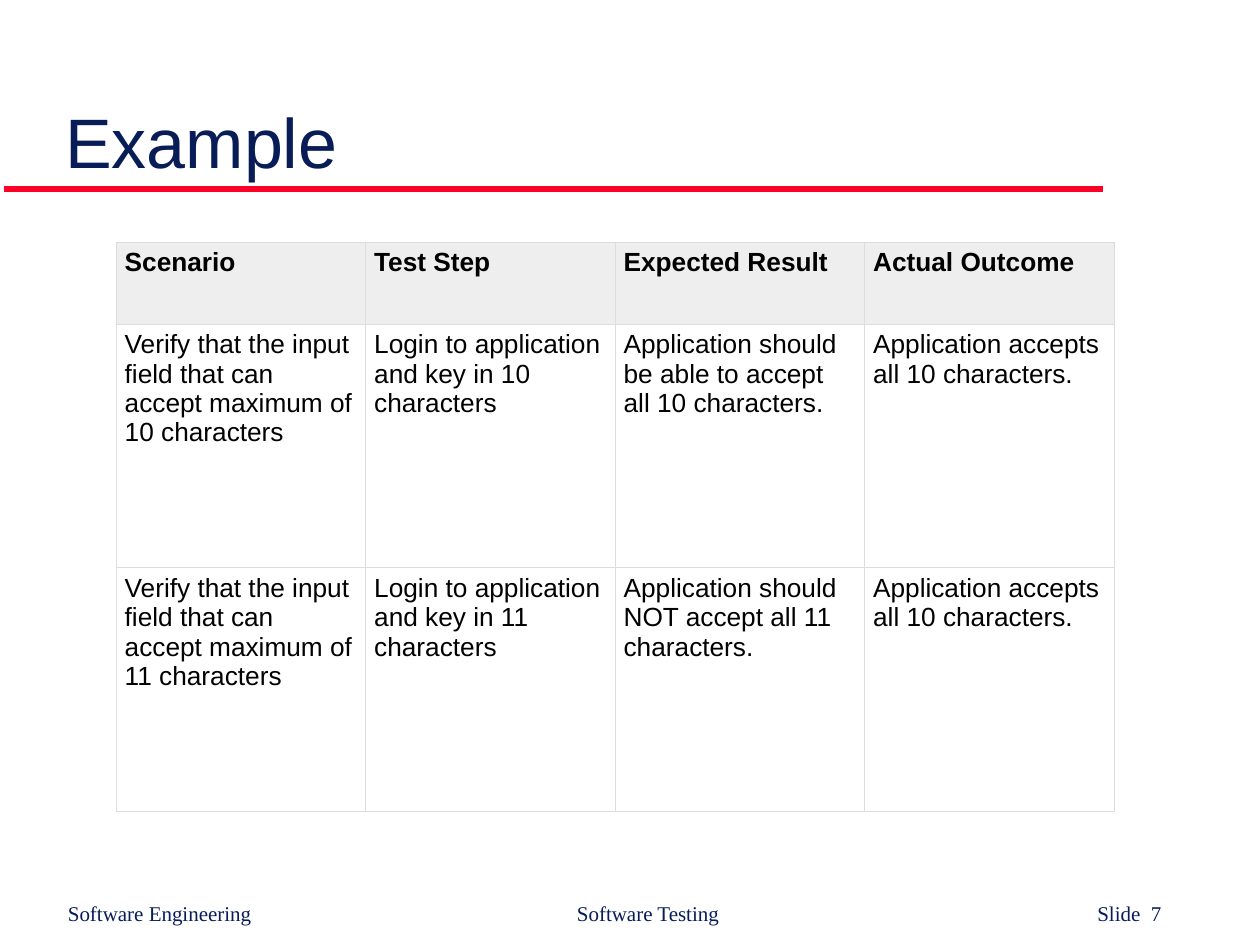
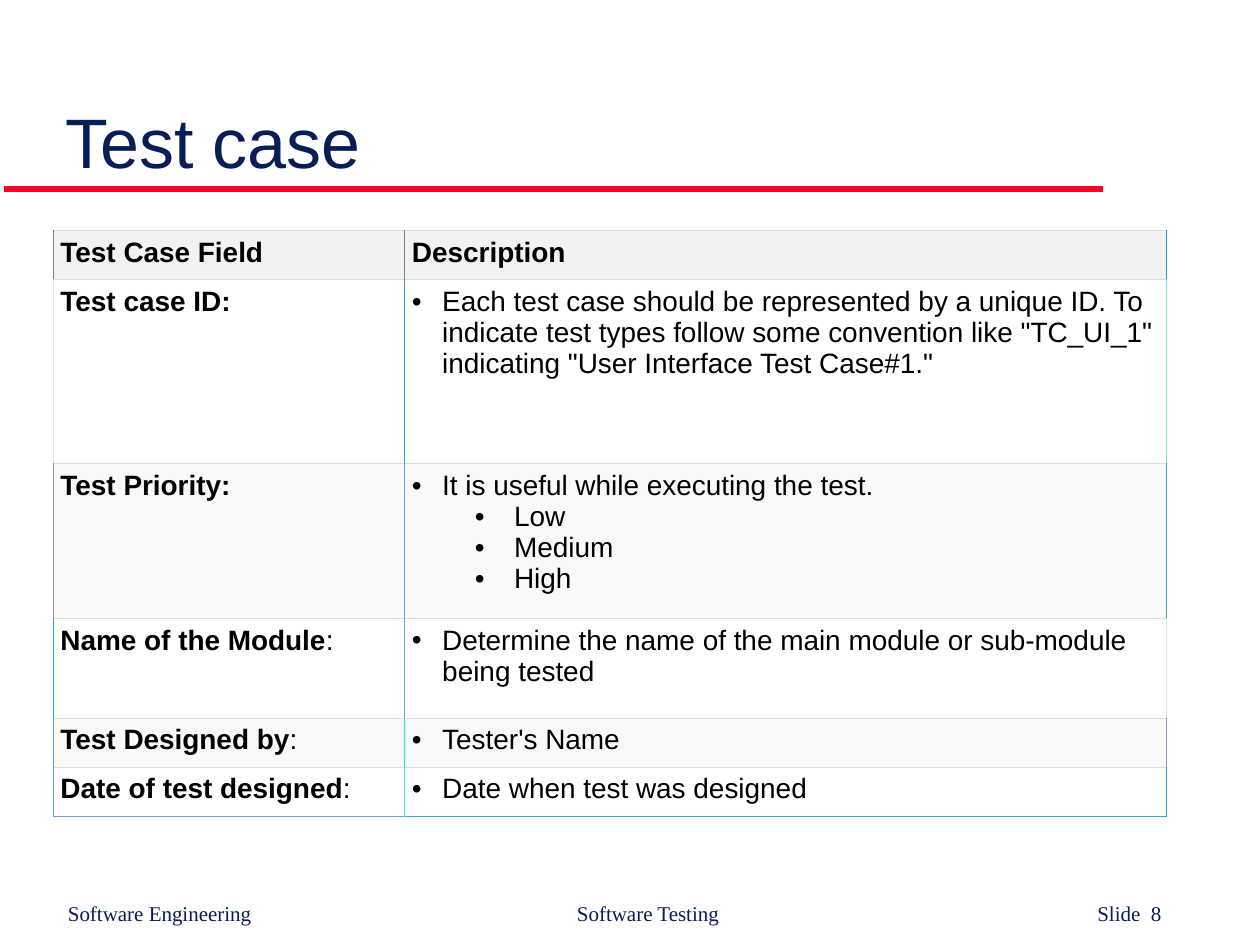
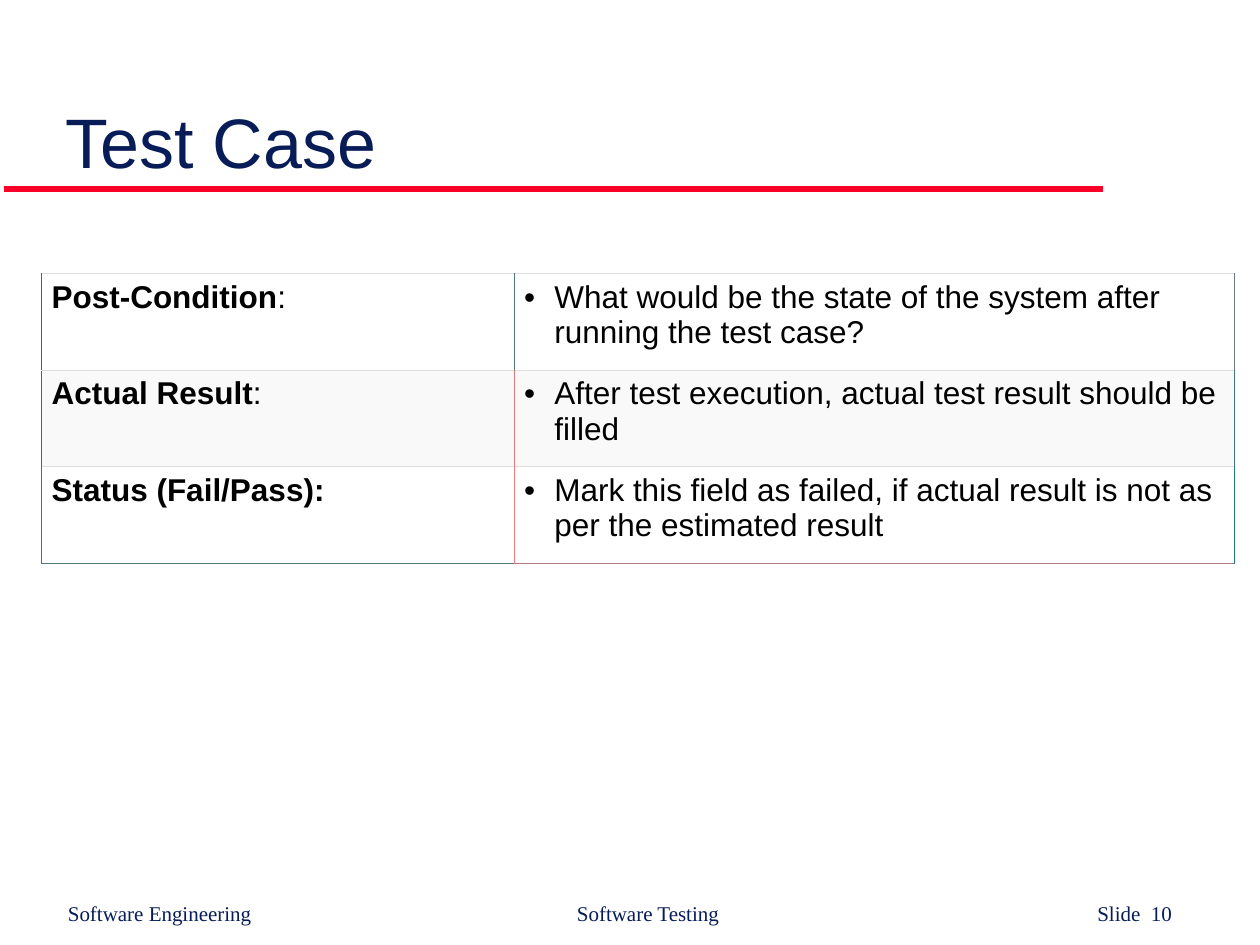
from dataclasses import dataclass

from lxml.etree import SubElement
from pptx import Presentation
from pptx.dml.color import RGBColor
from pptx.enum.shapes import MSO_CONNECTOR
from pptx.enum.text import MSO_ANCHOR
from pptx.oxml.ns import qn
from pptx.util import Inches, Pt

NAVY = RGBColor(0x08, 0x1D, 0x58)
RED = RGBColor(0xFC, 0x01, 0x28)
BLACK = RGBColor(0x00, 0x00, 0x00)
WHITE = RGBColor(0xFF, 0xFF, 0xFF)
OFF_WHITE = RGBColor(0xF9, 0xF9, 0xF9)
PALE_GREY = RGBColor(0xF2, 0xF2, 0xF2)
HEADER_GREY = RGBColor(0xEE, 0xEE, 0xEE)
RULE_GREY = RGBColor(0xDD, 0xDD, 0xDD)
SLATE = RGBColor(0x70, 0x87, 0x96)
BRIGHT_BLUE = RGBColor(0x10, 0x9E, 0xED)
SKY_BLUE = RGBColor(0x60, 0x9E, 0xED)
OCEAN = RGBColor(0x30, 0xA2, 0xCE)
LAGOON = RGBColor(0x40, 0xA5, 0xCE)
MIST_BLUE = RGBColor(0x60, 0xAB, 0xCE)
STEEL_BLUE = RGBColor(0x70, 0x99, 0xCF)
LAVENDER = RGBColor(0x90, 0x90, 0xCF)
PALE_MINT = RGBColor(0xD0, 0xF0, 0xCF)
MINT = RGBColor(0x80, 0xF0, 0xCF)
GREEN_MINT = RGBColor(0x50, 0xF0, 0xCF)
AQUA = RGBColor(0x10, 0xF4, 0xCF)
TEAL = RGBColor(0x20, 0x7B, 0x7E)
DARK_TEAL = RGBColor(0x30, 0x7A, 0x7E)
GREY_TEAL = RGBColor(0x40, 0x7A, 0x7E)
SMOKE = RGBColor(0x50, 0x79, 0x7E)
ASH = RGBColor(0x70, 0x79, 0x7E)
ROSE = RGBColor(0xE0, 0x79, 0x7E)
CORAL = RGBColor(0xF0, 0x7A, 0x7E)
MAUVE = RGBColor(0xB0, 0x7A, 0x7E)

FINE_RULES = (RULE_GREY, SLATE)
GRID_COLUMNS, GRID_ROWS = 100, 75
TITLE_FONT = {"name": "Arial", "size": Pt(40), "color": NAVY}
FOOTER_FONT = {"name": "Times New Roman", "size": Pt(12), "color": NAVY}
FOOTER_TABS = (4.04, 8.17)
BULLET_INDENTS = {1: (0.24, -0.24), 2: (0.81, -0.31)}


@dataclass
class Box:
    left: int
    top: int
    width: int
    height: int

    def area(self, column, row, columns, rows):
        across, down = self.width / GRID_COLUMNS, self.height / GRID_ROWS
        return Box(round(self.left + column * across), round(self.top + row * down),
                   round(columns * across), round(rows * down))

    def edges(self):
        return self.left, self.top, self.width, self.height


@dataclass
class Line:
    phrases: list
    level: int = 0


def plain(text, bold=False):
    return [Line([(text, bold)])]


def label(name):
    return [Line([(name, True), (":", False)])]


def bullets(*texts):
    return [Line([(text, False)], 2 if place else 1) for place, text in enumerate(texts)]


def set_values(target, values):
    for name, value in values.items():
        if name == "color":
            target.color.rgb = value
        else:
            setattr(target, name, value)


def add_words(paragraph, text, font, bold=False):
    words = paragraph.add_run()
    words.text = text
    set_values(words.font, {**font, "bold": bold})


def add_frame(slide, box, anchor):
    frame = slide.shapes.add_textbox(*box.edges()).text_frame
    set_values(frame, {"word_wrap": True, "vertical_anchor": anchor})
    return frame


def add_title(slide, box, title):
    frame = add_frame(slide, box, MSO_ANCHOR.BOTTOM)
    add_words(frame.paragraphs[0], title, TITLE_FONT)


def add_title_rule(slide, box):
    rule = slide.shapes.add_connector(MSO_CONNECTOR.STRAIGHT, box.left, box.top,
                                      box.left + box.width, box.top)
    set_values(rule.line, {"color": RED, "width": Pt(4)})
    SubElement(rule._element.spPr, qn("a:effectLst"))


def add_footer(slide, box, number):
    paragraph = add_frame(slide, box, MSO_ANCHOR.TOP).paragraphs[0]
    stops = SubElement(paragraph._p.get_or_add_pPr(), qn("a:tabLst"))
    for position in FOOTER_TABS:
        SubElement(stops, qn("a:tab"), pos=str(Inches(position)), algn="l")
    add_words(paragraph, f"Software Engineering\tSoftware Testing\tSlide  {number}", FOOTER_FONT)


def add_bullet(paragraph, level):
    margin, indent = BULLET_INDENTS[level]
    properties = paragraph._p.get_or_add_pPr()
    properties.set("marL", str(Inches(margin)))
    properties.set("indent", str(Inches(indent)))
    colour = SubElement(properties, qn("a:buClr"))
    SubElement(colour, qn("a:srgbClr"), val=str(BLACK))
    SubElement(properties, qn("a:buFont"), typeface="Arial")
    SubElement(properties, qn("a:buChar"), char="•")


def add_borders(cell, left, right, top, bottom):
    properties = cell._tc.get_or_add_tcPr()
    for side, colour in zip("LRTB", (left, right, top, bottom)):
        width = Pt(0.34 if colour in FINE_RULES else 0.45)
        border = SubElement(properties, qn(f"a:ln{side}"), w=str(width))
        fill = SubElement(border, qn("a:solidFill"))
        SubElement(fill, qn("a:srgbClr"), val=str(colour))


def fill_cell(cell, lines, fill, font, inset):
    set_values(cell, {"margin_left": inset, "margin_right": inset,
                      "margin_top": Inches(0.05), "margin_bottom": Inches(0.05)})
    if fill is None:
        cell.fill.background()
    else:
        cell.fill.solid()
        cell.fill.fore_color.rgb = fill
    frame = cell.text_frame
    for place, line in enumerate(lines):
        paragraph = frame.add_paragraph() if place else frame.paragraphs[0]
        if line.level:
            add_bullet(paragraph, line.level)
        for text, bold in line.phrases:
            add_words(paragraph, text, font, bold)


def add_grid(slide, box, content, column_shares, row_shares, fills, uprights, floor, size, inset):
    table = slide.shapes.add_table(len(row_shares), len(column_shares), *box.edges()).table
    set_values(table, {"first_row": False, "horz_banding": False})
    for column, share in zip(table.columns, column_shares):
        column.width = round(box.width * share / sum(column_shares))
    for row, share in zip(table.rows, row_shares):
        row.height = round(box.height * share / sum(row_shares))
    font = {"name": "Arial", "size": Pt(size), "color": BLACK}
    for r, (entries, fill, sides) in enumerate(zip(content, fills, uprights)):
        last = r == len(content) - 1
        for c, lines in enumerate(entries):
            cell = table.cell(r, c)
            add_borders(cell, sides[c], sides[c + 1], RULE_GREY, floor[c] if last else RULE_GREY)
            fill_cell(cell, lines, fill, font, Inches(inset))


def add_example(slide, box):
    headings = ("Scenario", "Test Step", "Expected Result", "Actual Outcome")
    outcomes = {10: "Application should be able to accept all 10 characters.",
                11: "Application should NOT accept all 11 characters."}
    content = [[plain(heading, True) for heading in headings]]
    for count, expected in outcomes.items():
        content.append([
            plain(f"Verify that the input field that can accept maximum of {count} characters"),
            plain(f"Login to application and key in {count} characters"),
            plain(expected),
            plain("Application accepts all 10 characters."),
        ])
    add_grid(slide, box, content, [1] * 4, [0.65, 1.93, 1.93], [HEADER_GREY, None, None],
             [[RULE_GREY] * 5] * 3, [RULE_GREY] * 4, 15, 0.07)


def add_fields(slide, box):
    content = [
        [plain("Test Case Field", True), plain("Description", True)],
        [plain("Test case ID:", True),
         bullets("Each test case should be represented by a unique ID. To indicate test types "
                 "follow some convention like \"TC_UI_1\" indicating "
                 "\"User Interface Test Case#1.\"")],
        [plain("Test Priority:", True),
         bullets("It is useful while executing the test.", "Low", "Medium", "High")],
        [label("Name of the Module"),
         bullets("Determine the name of the main module or sub-module being tested")],
        [label("Test Designed by"), bullets("Tester's Name")],
        [label("Date of test designed"), bullets("Date when test was designed")],
    ]
    uprights = [
        (SLATE, SLATE, BRIGHT_BLUE),
        (PALE_MINT, OCEAN, MINT),
        (LAVENDER, SKY_BLUE, LAGOON),
        (OCEAN, MIST_BLUE, PALE_MINT),
        (SKY_BLUE, AQUA, LAVENDER),
        (MIST_BLUE, GREEN_MINT, OCEAN),
    ]
    add_grid(slide, box, content, [2.79, 6.05], [0.39, 1.46, 1.23, 0.79, 0.39, 0.39],
             [PALE_GREY] + [WHITE, OFF_WHITE] * 2 + [WHITE], uprights,
             (STEEL_BLUE, LAGOON), 16, 0.06)


def add_results(slide, box):
    content = [
        [label("Post-Condition"),
         bullets("What would be the state of the system after running the test case?")],
        [label("Actual Result"),
         bullets("After test execution, actual test result should be filled")],
        [plain("Status (Fail/Pass):", True),
         bullets("Mark this field as failed, if actual result is not as per the "
                 "estimated result")],
    ]
    uprights = [(TEAL, SMOKE, ASH), (TEAL, ROSE, GREY_TEAL), (DARK_TEAL, CORAL, TEAL)]
    add_grid(slide, box, content, [3.75, 5.72], [1] * 3, [WHITE, OFF_WHITE, WHITE],
             uprights, (SMOKE, MAUVE), 18, 0.08)


def add_page(deck, page, title, number, add_body, place):
    slide = deck.slides.add_slide(deck.slide_layouts[6])
    add_title_rule(slide, page.area(0.3, 15, 87.2, 0))
    add_footer(slide, page.area(4.4, 71, 90.1, 3), number)
    add_title(slide, page.area(4.2, 4.2, 90, 10.8), title)
    add_body(slide, page.area(*place))


deck = Presentation()
set_values(deck, {"slide_width": Inches(10), "slide_height": Inches(7.5)})
page = Box(0, 0, deck.slide_width, deck.slide_height)
add_page(deck, page, "Example", 7, add_example, (9.2, 19.2, 79.2, 45.2))
add_page(deck, page, "Test case", 8, add_fields, (4.2, 18.3, 88.4, 46.5))
add_page(deck, page, "Test Case", 10, add_results, (3.3, 21.7, 94.7, 23))
deck.save("out.pptx")
